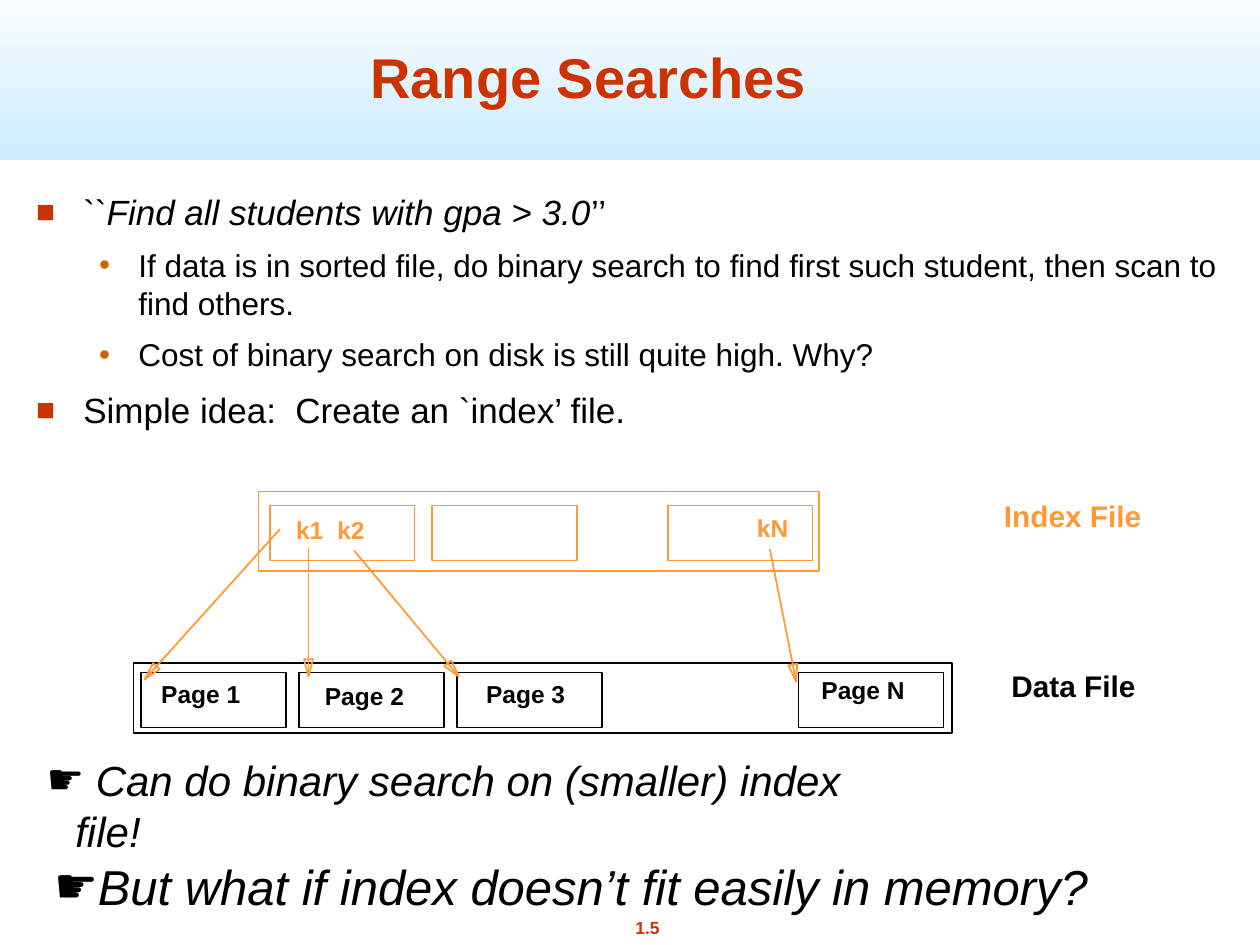
"""Build the Range Searches slide: bullets, index file diagram and closing notes."""
import math

from lxml import etree
from pptx import Presentation
from pptx import util as u
from pptx.dml.color import RGBColor
from pptx.enum import shapes, text
from pptx.oxml import ns

COLORS = {"red": "CC3300", "brown": "CC6600", "orange": "FF9933",
          "black": "000000", "white": "FFFFFF", "sky": "CCECFF"}
FONT = "Arial"

SQUARE = dict(char="■", color="red", percent=90, margin=0.95, indent=-0.95)
DOT = dict(char="•", color="brown", percent=100, margin=2.06, indent=-0.79)
HAND = dict(char="☛", color="black", percent=100, margin=0.58, indent=-0.58)

BODY = [
    (0, [("``", False), ("Find all students with gpa > 3.0", True), ("’’", False)]),
    (1, [("If data is in sorted file, do binary search to find first such "
          "student, then scan to find others.", False)]),
    (1, [("Cost of binary search on disk is still quite high. Why?", False)]),
    (0, [("Simple idea:  Create an `index’ file.", False)]),
]
LEVELS = [dict(size=20, before=8.8, bullet=SQUARE),
          dict(size=18, before=7.9, bullet=DOT)]
NOTES = [
    ((0.69, 15.09, 17.96, 2.29), 24,
     [(" ", False), ("Can do binary search on (smaller) index file!", True)]),
    ((0.84, 17.15, 22.66, 1.45), 28,
     [("But what if index doesn’t fit easily in memory?", True)]),
]
CELL = (2.92, 1.11)
FILES = [
    dict(color="black", frame=(2.69, 13.36, 16.5, 1.42), top=13.56,
         lefts=[2.84, 6.03, 9.22, 16.1]),
    dict(color="orange", frame=(5.21, 9.91, 11.3, 1.6), top=10.19,
         lefts=[5.44, 8.71, 13.46]),
]
LABELS = [
    ("Page 1", 3.0, 13.56, 2.11, 14, "black"),
    ("Page 2", 6.3, 13.61, 2.11, 14, "black"),
    ("Page 3", 9.55, 13.56, 2.11, 14, "black"),
    ("Page N", 16.31, 13.49, 2.18, 14, "black"),
    ("Data File", 20.14, 13.34, 3.02, 17, "black"),
    ("k1", 5.72, 10.26, 1.07, 14, "orange"),
    ("k2", 6.55, 10.26, 1.07, 14, "orange"),
    ("kN", 15.01, 10.21, 1.14, 14, "orange"),
    ("Index File", 19.99, 9.91, 3.28, 17, "orange"),
]
ARROWS = [((5.64, 10.67), (2.92, 13.69)), ((6.22, 11.05), (6.22, 13.64)),
          ((7.14, 11.1), (9.25, 13.64)), ((15.52, 11.07), (16.05, 13.74))]
HEAD_LENGTH, HEAD_HALF_WIDTH = 0.35, 0.09


def rgb(name):
    return RGBColor.from_string(COLORS[name])


def lengths(values):
    return [u.Cm(value) for value in values]


def outline(shape, color):
    shape.shadow.inherit = False
    shape.fill.background()
    shape.line.color.rgb = rgb(color)
    shape.line.width = u.Pt(1)


def add_box(slide, box, color):
    shape = slide.shapes.add_shape(shapes.MSO_SHAPE.RECTANGLE, *lengths(box))
    outline(shape, color)


def add_frame(slide, box, wrap=True):
    frame = slide.shapes.add_textbox(*lengths(box)).text_frame
    frame.word_wrap = wrap
    return frame


def fill_paragraph(paragraph, runs, size, color="black", bold=False):
    for words, italic in runs:
        run = paragraph.add_run()
        run.text = words
        font = run.font
        font.name, font.size = FONT, u.Pt(size)
        font.bold, font.italic = bold, italic
        font.color.rgb = rgb(color)


def set_bullet(paragraph, bullet):
    properties = paragraph._p.get_or_add_pPr()
    properties.set("marL", str(u.Cm(bullet["margin"])))
    properties.set("indent", str(u.Cm(bullet["indent"])))
    color = etree.SubElement(properties, ns.qn("a:buClr"))
    etree.SubElement(color, ns.qn("a:srgbClr"), val=COLORS[bullet["color"]])
    etree.SubElement(properties, ns.qn("a:buSzPct"), val=str(bullet["percent"] * 1000))
    etree.SubElement(properties, ns.qn("a:buFont"), typeface=FONT)
    etree.SubElement(properties, ns.qn("a:buChar"), char=bullet["char"])


def add_label(slide, words, box, size, color, align=None, wrap=False):
    frame = add_frame(slide, box, wrap)
    paragraph = frame.paragraphs[0]
    paragraph.alignment = align
    fill_paragraph(paragraph, [(words, False)], size, color, bold=True)
    return frame


def add_arrow(slide, start, end):
    line = slide.shapes.add_connector(shapes.MSO_CONNECTOR.STRAIGHT,
                                      *lengths(start + end))
    line.line.color.rgb = rgb("orange")
    line.line.width = u.Pt(1)
    etree.SubElement(line._element.spPr, ns.qn("a:effectLst"))

    angle = math.atan2(end[1] - start[1], end[0] - start[0])
    along, across = math.cos(angle), math.sin(angle)
    corners = [(end[0] - HEAD_LENGTH * along - side * across,
                end[1] - HEAD_LENGTH * across + side * along)
               for side in (HEAD_HALF_WIDTH, -HEAD_HALF_WIDTH)]
    builder = slide.shapes.build_freeform(*lengths(end))
    builder.add_line_segments([lengths(corner) for corner in corners], close=True)
    outline(builder.convert_to_shape(), "orange")


def add_header(slide):
    band = slide.shapes.add_shape(shapes.MSO_SHAPE.RECTANGLE,
                                  *lengths((0, -0.43, 25.4, 3.66)))
    band.shadow.inherit = False
    band.line.fill.background()
    band.fill.gradient()
    band.fill.gradient_angle = 270
    for stop, color in zip(band.fill.gradient_stops, ("white", "sky")):
        stop.color.rgb = rgb(color)
    center = text.PP_ALIGN.CENTER
    title = add_label(slide, "Range Searches", (1.07, 0, 21.59, 2.34), 32, "red",
                      center, wrap=True)
    title.vertical_anchor = text.MSO_ANCHOR.BOTTOM
    number = add_label(slide, "1.5", (11.81, 18.36, 2.49, 0.69), 10, "red", center)
    number.paragraphs[0].space_before = u.Pt(6.2)


def add_body(slide):
    frame = add_frame(slide, (0.48, 3.71, 24.97, 6.2))
    for index, (level, runs) in enumerate(BODY):
        paragraph = frame.add_paragraph() if index else frame.paragraphs[0]
        style = LEVELS[level]
        paragraph.level = level
        paragraph.space_before = u.Pt(style["before"])
        set_bullet(paragraph, style["bullet"])
        fill_paragraph(paragraph, runs, style["size"])


def add_diagram(slide):
    for file in FILES:
        add_box(slide, file["frame"], file["color"])
        for left in file["lefts"]:
            add_box(slide, (left, file["top"], *CELL), file["color"])
    for start, end in ARROWS:
        add_arrow(slide, start, end)
    for words, left, top, width, size, color in LABELS:
        add_label(slide, words, (left, top, width, 0.84), size, color)


def add_notes(slide):
    for box, size, runs in NOTES:
        paragraph = add_frame(slide, box).paragraphs[0]
        set_bullet(paragraph, HAND)
        fill_paragraph(paragraph, runs, size)


def main():
    presentation = Presentation()
    presentation.slide_width, presentation.slide_height = lengths((25.4, 19.05))
    slide = presentation.slides.add_slide(presentation.slide_layouts[6])
    add_header(slide)
    add_body(slide)
    add_diagram(slide)
    add_notes(slide)
    presentation.save("out.pptx")


if __name__ == "__main__":
    main()
